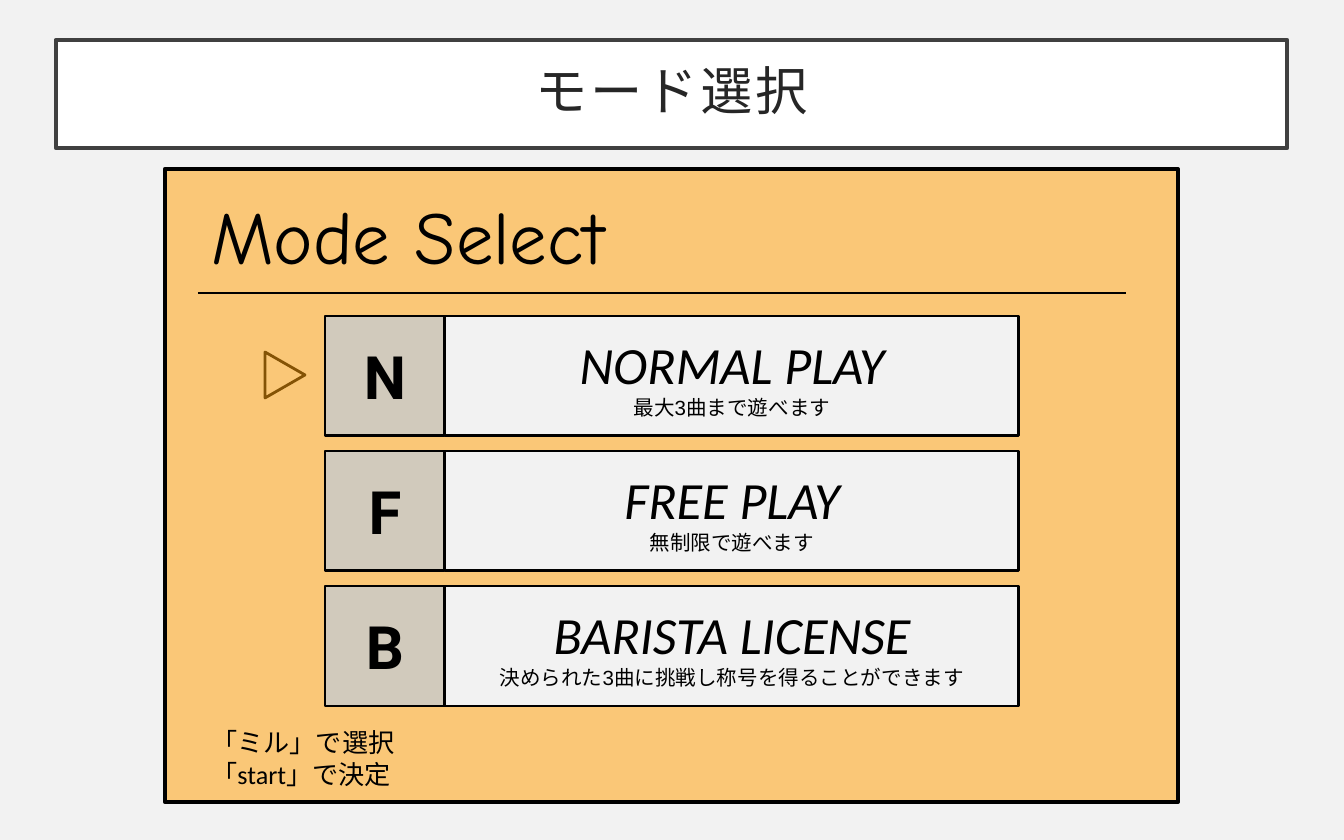
"""Build the mode selection slide."""
from pptx import Presentation, util as u
from pptx.dml.color import RGBColor
from pptx.enum import shapes, text
from pptx.oxml.ns import qn

EMU_PER_PX = 914400 / 134.4
COLORS = {
    "page": "F2F2F2", "white": "FFFFFF", "frame": "404040", "title": "262626",
    "panel": "FAC777", "tile": "D1CABC", "ink": "000000", "cursor": "845305",
}
MODES = [
    ("N", "NORMAL PLAY", "最大3曲まで遊べます"),
    ("F", "FREE PLAY", "無制限で遊べます"),
    ("B", "BARISTA LICENSE", "決められた3曲に挑戦し称号を得ることができます"),
]
TILE_LEFT, TILE_TOP, TILE_SIZE, TILE_PITCH, BAR_WIDTH = 325, 316, 120, 135, 574


def px(*lengths):
    """Turn pixel lengths into EMU."""
    return [u.Emu(round(length * EMU_PER_PX)) for length in lengths]


def rgb(name):
    """Look up a named colour."""
    return RGBColor.from_string(COLORS[name])


def add_box(parent, at, fill, line, width, kind=shapes.MSO_SHAPE.RECTANGLE):
    """Add a filled, outlined shape without a shadow."""
    box = parent.add_shape(kind, *px(*at))
    box.shadow.inherit = False
    box.fill.solid()
    box.fill.fore_color.rgb = rgb(fill)
    box.line.color.rgb = rgb(line)
    box.line.width = u.Pt(width)
    return box


def write(box, lines, align=text.PP_ALIGN.CENTER, anchor=text.MSO_ANCHOR.MIDDLE):
    """Write one paragraph per (words, font, size, style) line."""
    frame = box.text_frame
    frame.word_wrap = True
    frame.vertical_anchor = anchor
    for index, (words, font, size, style) in enumerate(lines):
        para = frame.add_paragraph() if index else frame.paragraphs[0]
        para.alignment = align
        span = para.add_run()
        span.text = words
        span.font.name = font
        span.font.size = u.Pt(size)
        span.font.bold = style == "bold"
        span.font.italic = style == "italic"
        span.font.color.rgb = rgb("ink")


def add_title(page):
    """Add the framed, letter-spaced page title."""
    box = add_box(page.shapes, (56, 40, 1231, 108), "white", "frame", 2.5)
    write(box, [("モード選択", "Calibri", 28, None)])
    frame = box.text_frame
    frame.margin_left, frame.margin_top, frame.margin_right, frame.margin_bottom = px(27, 27, 27, 27)
    para = frame.paragraphs[0]
    para.line_spacing = 0.9
    span = para.runs[0]
    span.font.color.rgb = rgb("title")
    span._r.get_or_add_rPr().set("spc", "150")


def add_label(page, at, lines):
    """Add a left-aligned text box."""
    write(page.shapes.add_textbox(*px(*at)), lines,
          text.PP_ALIGN.LEFT, text.MSO_ANCHOR.TOP)


def add_rule(page, left, right, top):
    """Add the horizontal line under the heading."""
    rule = page.shapes.add_connector(
        shapes.MSO_CONNECTOR.STRAIGHT, *px(left, top, right, top))
    rule.line.color.rgb = rgb("ink")
    rule.line.width = u.Pt(1.5)
    properties = rule.element.spPr
    properties.append(properties.makeelement(qn("a:effectLst"), {}))


def add_mode(page, row, letter, name, note):
    """Add one grouped mode: a letter tile and its description bar."""
    group = page.shapes.add_group_shape().shapes
    top = TILE_TOP + row * TILE_PITCH
    tile = add_box(group, (TILE_LEFT, top, TILE_SIZE, TILE_SIZE), "tile", "ink", 1.5)
    write(tile, [(letter, "Roboto", 32, "bold")])
    bar = add_box(group, (TILE_LEFT + TILE_SIZE, top, BAR_WIDTH, TILE_SIZE), "page", "ink", 1.5)
    write(bar, [(name, "Calibri", 28, "italic"), (note, "Arial", 11, None)])


def main():
    """Build and save the deck."""
    deck = Presentation()
    deck.slide_width, deck.slide_height = px(1344, 840)
    page = deck.slides.add_slide(deck.slide_layouts[6])
    page.background.fill.solid()
    page.background.fill.fore_color.rgb = rgb("page")
    add_title(page)
    add_box(page.shapes, (165, 169, 1013, 633), "panel", "ink", 2.25)
    add_label(page, (198, 183, 431, 103), [("Mode Select", "Comic Neue", 40, None)])
    add_rule(page, 198, 1126, 293)
    for row, mode in enumerate(MODES):
        add_mode(page, row, *mode)
    add_label(page, (198, 720, 685, 77), [
        (words, "Calibri", 14, None) for words in ("「ミル」で選択", "「start」で決定")])
    cursor = add_box(page.shapes, (262, 355, 46, 40), "panel", "cursor", 1.5,
                     shapes.MSO_SHAPE.ISOSCELES_TRIANGLE)
    cursor.rotation = 90
    deck.save("out.pptx")


if __name__ == "__main__":
    main()
